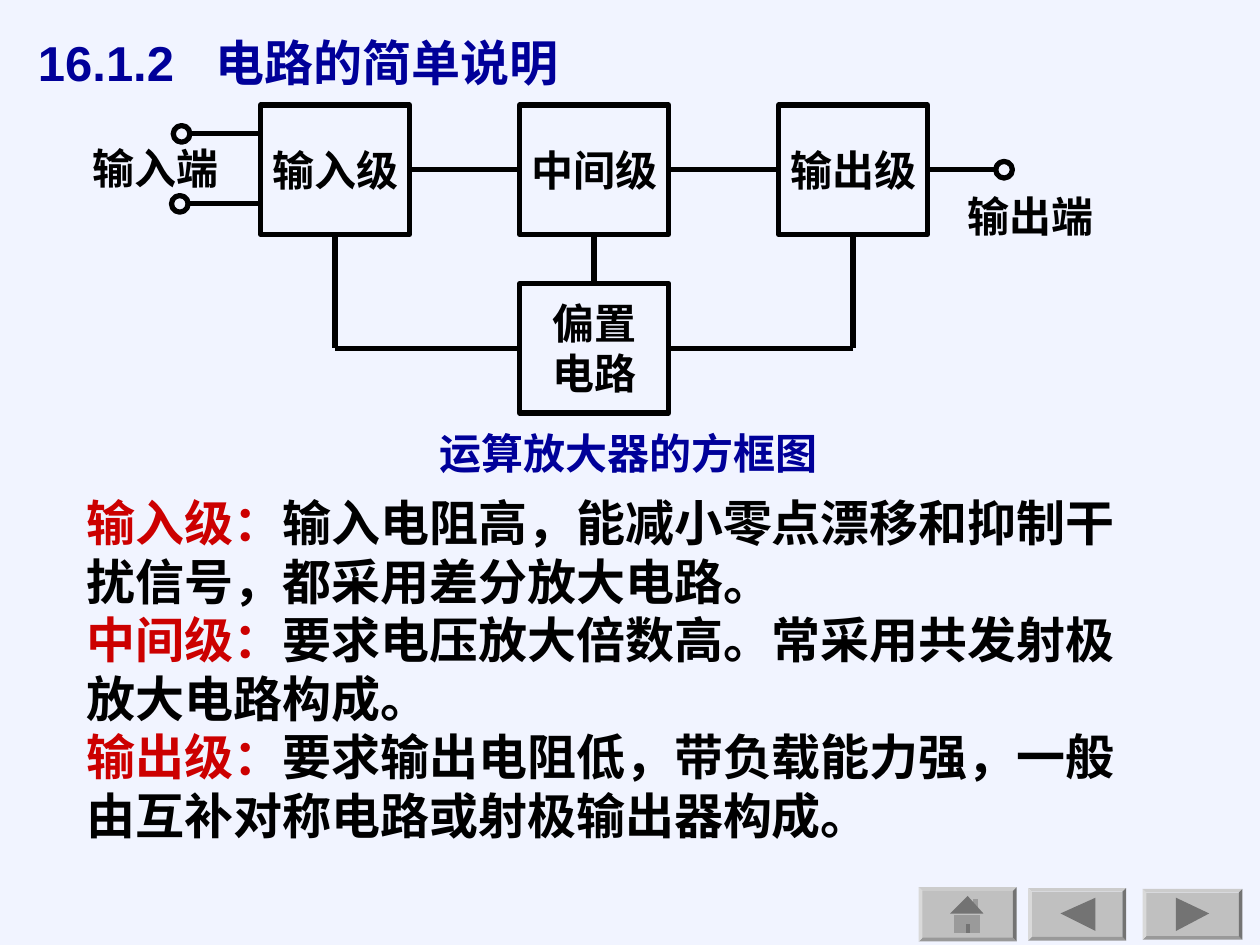
from lxml import etree
from pptx import Presentation
from pptx.dml.color import RGBColor
from pptx.enum import shapes, text
from pptx.oxml import ns
from pptx.util import Pt

COLORS = {"background": "F1F4FF", "ink": "000000", "heading": "000099",
          "term": "CC0000", "button": "C0C0C0", "icon": "737373",
          "house": "9A9A9A"}
CJK = "Noto Sans CJK SC"
SERIF = "Times New Roman"

TITLE = "16.1.2\t电路的简单说明"
STAGES = ["输入级", "中间级", "输出级"]
BIAS = ["偏置", "电路"]
LABELS = [
    ("输入端", "ink", (46, 78, 87, 36)),
    ("输出端", "ink", (546, 105, 87, 36)),
    ("运算放大器的方框图", "heading", (244, 240.5, 230, 36)),
]
EXPLANATIONS = [
    ("输入级：", "输入电阻高，能减小零点漂移和抑制干扰信号，都采用差分放大电路。"),
    ("中间级：", "要求电压放大倍数高。常采用共发射极放大电路构成。"),
    ("输出级：", "要求输出电阻低，带负载能力强，一般由互补对称电路或射极输出器构成。"),
]
BUTTONS = [(525, 507, 56, 31), (587.5, 507.5, 56, 30), (653, 508, 57, 29)]
ICONS = [
    ("house", [(545, 523), (560, 523), (560, 533), (545, 533)]),
    ("house", [(556.5, 514), (559, 514), (559, 520), (556.5, 520)]),
    ("icon", [(553, 512.5), (562.5, 522.5), (543, 522.5)]),
    ("icon", [(551.5, 527.5), (554.5, 527.5), (554.5, 533), (551.5, 533)]),
    ("icon", [(606, 522.5), (625.5, 513), (625.5, 532)]),
    ("icon", [(672.5, 513), (691, 522.5), (672.5, 531.5)]),
]
BOX_W, BOX_H = 85, 74
STAGE_LEFT, STAGE_TOP, STAGE_PITCH = 149, 60, 148
BIAS_TOP = 162
TERMINAL = 9.5
TERMINALS_IN = [(99, 76.5), (98, 116.5)]
TERMINAL_OUT_X = 569


def color(key):
    return RGBColor.from_string(COLORS[key])


def place(shape, left, top, width, height):
    shape.left, shape.top = Pt(left), Pt(top)
    shape.width, shape.height = Pt(width), Pt(height)


def add_run(paragraph, words, size, key, font=SERIF):
    run = paragraph.add_run()
    run.text = words
    run.font.size, run.font.bold = Pt(size), True
    run.font.color.rgb = color(key)
    run.font.name = font
    etree.SubElement(run.font._element, ns.qn("a:ea"), typeface=CJK)


def setup_frame(shape, inset=7.2, wrap=True):
    frame = shape.text_frame
    frame.word_wrap = wrap
    frame.auto_size = text.MSO_AUTO_SIZE.NONE
    frame.vertical_anchor = text.MSO_ANCHOR.MIDDLE
    frame.margin_left = frame.margin_right = Pt(inset)
    frame.margin_top = frame.margin_bottom = Pt(min(inset, 3.6))
    return frame


def paragraphs(frame, count):
    return [frame.paragraphs[0]] + [frame.add_paragraph() for _ in range(count - 1)]


def add_outline(kind, left, top, width, height):
    shape = slide.shapes.add_shape(kind, Pt(left), Pt(top), Pt(width), Pt(height))
    shape.shadow.inherit = False
    shape.fill.background()
    shape.line.color.rgb = color("ink")
    shape.line.width = Pt(3)
    return shape


def add_box(left, top, lines):
    box = add_outline(shapes.MSO_SHAPE.RECTANGLE, left, top, BOX_W, BOX_H)
    frame = setup_frame(box, inset=0)
    for paragraph, line in zip(paragraphs(frame, len(lines)), lines):
        paragraph.alignment = text.PP_ALIGN.CENTER
        paragraph.line_spacing = Pt(28.6)
        add_run(paragraph, line, 24, "ink")
    return box


def add_wire(start, end, start_joint=None, end_joint=None):
    wire = slide.shapes.add_connector(
        shapes.MSO_CONNECTOR.STRAIGHT, *(Pt(v) for v in start + end))
    wire.line.color.rgb = color("ink")
    wire.line.width = Pt(3)
    etree.SubElement(wire._element.spPr, ns.qn("a:effectLst"))
    if start_joint:
        wire.begin_connect(*start_joint)
    if end_joint:
        wire.end_connect(*end_joint)


def add_terminal(left, middle):
    add_outline(shapes.MSO_SHAPE.OVAL, left, middle - TERMINAL / 2, TERMINAL, TERMINAL)


def fill_plain(shape, key):
    shape.shadow.inherit = False
    shape.fill.solid()
    shape.fill.fore_color.rgb = color(key)
    shape.line.fill.background()


deck = Presentation()
deck.slide_width, deck.slide_height = Pt(720), Pt(540)
slide = deck.slides.add_slide(deck.slide_layouts[1])
slide.background.fill.solid()
slide.background.fill.fore_color.rgb = color("background")

for area in BUTTONS:
    button = slide.shapes.add_shape(shapes.MSO_SHAPE.BEVEL, *(Pt(v) for v in area))
    button.adjustments[0] = 0.07
    fill_plain(button, "button")
for key, points in ICONS:
    outline = slide.shapes.build_freeform(*points[0], scale=Pt(1))
    outline.add_line_segments(points[1:], close=True)
    fill_plain(outline.convert_to_shape(), key)

title = slide.shapes.title
place(title, 14.5, 14.5, 330, 42)
heading = setup_frame(title).paragraphs[0]
heading.alignment = text.PP_ALIGN.LEFT
tabs = etree.SubElement(heading._p.get_or_add_pPr(), ns.qn("a:tabLst"))
etree.SubElement(tabs, ns.qn("a:tab"), pos=str(Pt(101.5)), algn="l")
add_run(heading, TITLE, 28, "heading", "Arial")

body = slide.placeholders[1]
place(body, 42.5, 279.5, 613.5, 205)
for paragraph, (term, meaning) in zip(
        paragraphs(setup_frame(body), len(EXPLANATIONS)), EXPLANATIONS):
    properties = paragraph._p.get_or_add_pPr()
    properties.set("marL", "0")
    properties.set("indent", "0")
    etree.SubElement(properties, ns.qn("a:buNone"))
    paragraph.line_spacing = Pt(33.5)
    paragraph.space_before = Pt(0)
    add_run(paragraph, term, 28, "term", CJK)
    add_run(paragraph, meaning, 28, "ink", CJK)

stage_lefts = [STAGE_LEFT + i * STAGE_PITCH for i in range(len(STAGES))]
stages = [add_box(left, STAGE_TOP, [name]) for left, name in zip(stage_lefts, STAGES)]
bias = add_box(stage_lefts[1], BIAS_TOP, BIAS)
input_stage, middle_stage, output_stage = stages

stage_middle = STAGE_TOP + BOX_H / 2
stage_bottom = STAGE_TOP + BOX_H
bias_middle = BIAS_TOP + BOX_H / 2
centers = [left + BOX_W / 2 for left in stage_lefts]

for i in range(len(stages) - 1):
    add_wire((stage_lefts[i] + BOX_W, stage_middle), (stage_lefts[i + 1], stage_middle),
             (stages[i], 3), (stages[i + 1], 1))
add_wire((centers[1], stage_bottom), (centers[1], BIAS_TOP), (middle_stage, 2), (bias, 0))
for stage, center, side, edge in [
        (input_stage, centers[0], 1, stage_lefts[1]),
        (output_stage, centers[2], 3, stage_lefts[1] + BOX_W)]:
    corner = (center, bias_middle)
    add_wire((center, stage_bottom), corner, (stage, 2))
    add_wire(corner, (edge, bias_middle), None, (bias, side))

for left, middle in TERMINALS_IN:
    add_terminal(left, middle)
    add_wire((left + TERMINAL, middle), (STAGE_LEFT, middle))
add_terminal(TERMINAL_OUT_X, stage_middle)
add_wire((stage_lefts[2] + BOX_W, stage_middle), (TERMINAL_OUT_X, stage_middle),
         (output_stage, 3))

for words, key, area in LABELS:
    label = slide.shapes.add_textbox(*(Pt(v) for v in area))
    line = setup_frame(label, wrap=False).paragraphs[0]
    add_run(line, words, 24, key)

deck.save("out.pptx")
